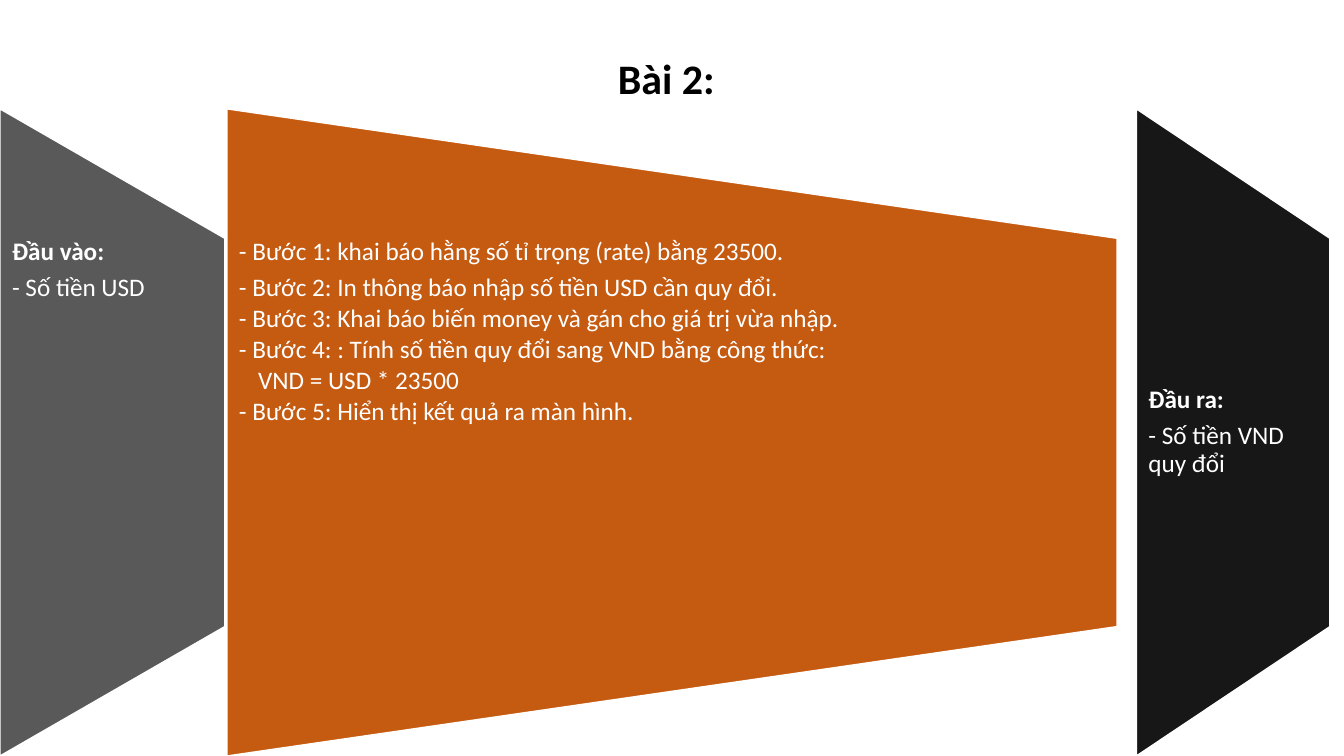
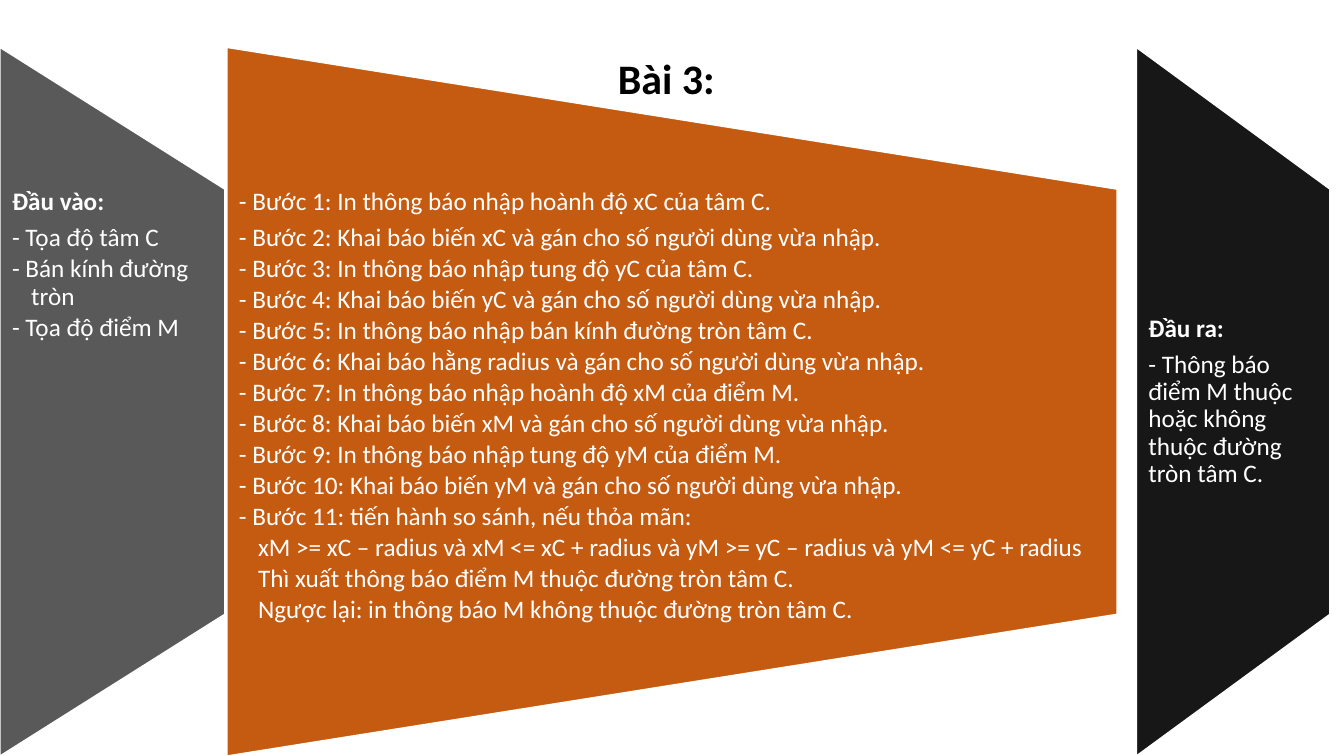
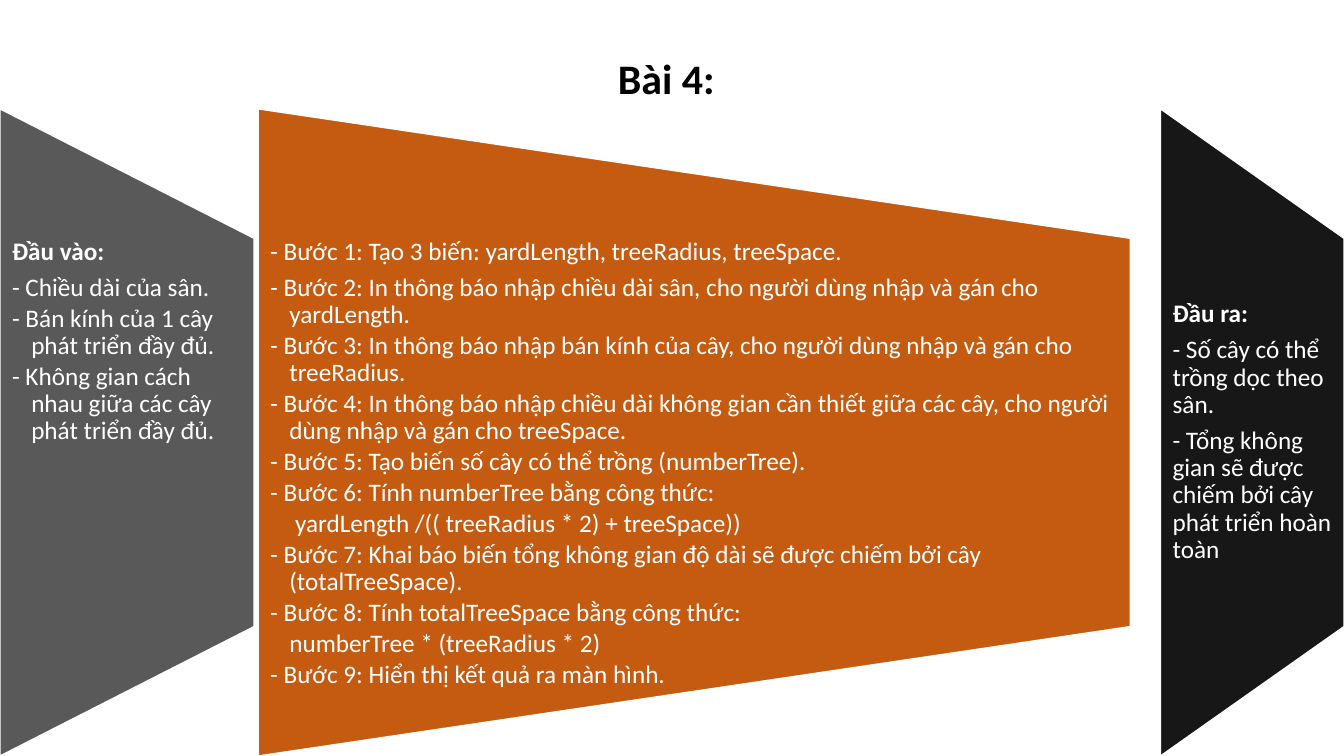
from dataclasses import dataclass

from pptx import Presentation
from pptx.dml.color import RGBColor
from pptx.enum.shapes import MSO_SHAPE as Preset
from pptx.enum.text import MSO_ANCHOR as Anchor, MSO_AUTO_SIZE as AutoSize
from pptx.util import Inches, Pt


@dataclass(frozen=True)
class Theme:
    font: str = "Calibri"
    title_size: int = 30
    body_size: int = 18
    title_color: str = "000000"
    body_color: str = "FFFFFF"
    edge_color: str = "FFFFFF"
    input_fill: str = "595959"
    steps_fill: str = "C55A11"
    output_fill: str = "181717"


@dataclass(frozen=True)
class LineStyle:
    level: int
    space_after: float
    bold: bool = False


HEADING = LineStyle(0, 6.3, bold=True)
LEAD = LineStyle(0, 6.3)
ITEM = LineStyle(1, 2.7)
DETAIL = LineStyle(2, 2.7)

SLIDE_WIDTH, SLIDE_HEIGHT = 13.33, 7.5
HANGING = 0.19
TEXT_INSET = 0.12
TEXT_SHARE = 0.6


class Deck:
    def __init__(self, theme):
        self.theme = theme
        self.presentation = Presentation()
        self.presentation.slide_width = Inches(SLIDE_WIDTH)
        self.presentation.slide_height = Inches(SLIDE_HEIGHT)
        self.slide = None

    def new_slide(self):
        blank = self.presentation.slide_layouts[6]
        self.slide = self.presentation.slides.add_slide(blank)

    def run(self, paragraph, text, size, color, bold):
        run = paragraph.add_run()
        run.text = text
        run.font.name = self.theme.font
        run.font.size = Pt(size)
        run.font.bold = bold
        run.font.color.rgb = RGBColor.from_string(color)

    def text_frame(self, left, top, width, height):
        box = self.slide.shapes.add_textbox(
            Inches(left), Inches(top), Inches(width), Inches(height))
        box.text_frame.word_wrap = True
        return box.text_frame

    def title(self, text):
        frame = self.text_frame(6.03, 0.47, 1.27, 0.61)
        frame.auto_size = AutoSize.SHAPE_TO_FIT_TEXT
        self.run(frame.paragraphs[0], text,
                 self.theme.title_size, self.theme.title_color, True)

    def funnel(self, left, top, width, fill):
        height = SLIDE_HEIGHT - top
        shift = (height - width) / 2
        funnel = self.slide.shapes.add_shape(
            Preset.FLOWCHART_MANUAL_OPERATION,
            Inches(left - shift), Inches(top + shift),
            Inches(height), Inches(width))
        funnel.rotation = 270
        funnel.shadow.inherit = False
        funnel.fill.solid()
        funnel.fill.fore_color.rgb = RGBColor.from_string(fill)
        funnel.line.color.rgb = RGBColor.from_string(self.theme.edge_color)
        funnel.line.width = Pt(1)

    def lines(self, left, top, width, content, anchor):
        height = SLIDE_HEIGHT - top
        margin = height * (1 - TEXT_SHARE) / 2
        frame = self.text_frame(left, top + margin, width, height * TEXT_SHARE)
        frame.margin_left = frame.margin_right = Inches(TEXT_INSET)
        frame.margin_top = frame.margin_bottom = 0
        frame.vertical_anchor = anchor
        for index, (style, text) in enumerate(content):
            paragraph = frame.add_paragraph() if index else frame.paragraphs[0]
            paragraph.level = style.level
            paragraph.line_spacing = 0.9
            paragraph.space_after = Pt(style.space_after)
            properties = paragraph._p.get_or_add_pPr()
            properties.set("marL", str(Inches(HANGING * style.level)))
            properties.set("indent", str(Inches(-HANGING if style.level else 0)))
            self.run(paragraph, text, self.theme.body_size,
                     self.theme.body_color, style.bold)

    def panel(self, left, top, width, fill, content, anchor=Anchor.TOP):
        self.funnel(left, top, width, fill)
        self.lines(left, top, width, content, anchor)

    def exercise(self, title, top, columns, inputs, steps, outputs):
        self.new_slide()
        input_column, steps_column, output_column = columns
        theme = self.theme

        def place(column, fill, content, anchor=Anchor.TOP):
            left, width = column
            self.panel(left, top, width, fill, content, anchor)

        place(input_column, theme.input_fill,
              [(HEADING, "Đầu vào:")] + [(ITEM, text) for text in inputs])
        place(steps_column, theme.steps_fill, steps)
        place(output_column, theme.output_fill,
              [(HEADING, "Đầu ra:")] + [(LEAD, text) for text in outputs],
              Anchor.MIDDLE)
        self.title(title)


NARROW_INPUT = [(0, 2.23), (2.25, 8.83), (11.27, 1.92)]
WIDE_INPUT = [(0, 2.52), (2.56, 8.65), (11.51, 1.82)]

deck = Deck(Theme())

deck.exercise(
    "Bài 2:", 1.08, NARROW_INPUT,
    inputs=["- Số tiền USD"],
    steps=[
        (LEAD, "- Bước 1: khai báo hằng số tỉ trọng (rate) bằng 23500."),
        (ITEM, "- Bước 2: In thông báo nhập số tiền USD cần quy đổi."),
        (ITEM, "- Bước 3: Khai báo biến money và gán cho giá trị vừa nhập."),
        (ITEM, "- Bước 4: : Tính số tiền quy đổi sang VND bằng công thức:"),
        (DETAIL, "VND = USD * 23500"),
        (ITEM, "- Bước 5: Hiển thị kết quả ra màn hình."),
    ],
    outputs=["- Số tiền VND quy đổi"])

deck.exercise(
    "Bài 3:", 0.47, NARROW_INPUT,
    inputs=["- Tọa độ tâm C", "- Bán kính đường tròn", "- Tọa độ điểm M"],
    steps=[
        (LEAD, "- Bước 1: In thông báo nhập hoành độ xC của tâm C."),
        (ITEM, "- Bước 2: Khai báo biến xC và gán cho số người dùng vừa nhập."),
        (ITEM, "- Bước 3: In thông báo nhập tung độ yC của tâm C."),
        (ITEM, "- Bước 4: Khai báo biến yC và gán cho số người dùng vừa nhập."),
        (ITEM, "- Bước 5: In thông báo nhập bán kính đường tròn tâm C."),
        (ITEM, "- Bước 6: Khai báo hằng radius và gán cho số người dùng vừa nhập."),
        (ITEM, "- Bước 7: In thông báo nhập hoành độ xM của điểm M."),
        (ITEM, "- Bước 8: Khai báo biến xM và gán cho số người dùng vừa nhập."),
        (ITEM, "- Bước 9: In thông báo nhập tung độ yM của điểm M."),
        (ITEM, "- Bước 10: Khai báo biến yM và gán cho số người dùng vừa nhập."),
        (ITEM, "- Bước 11: tiến hành so sánh, nếu thỏa mãn:"),
        (DETAIL, "xM >= xC – radius và xM <= xC + radius "
                 "và yM >= yC – radius và yM <= yC + radius"),
        (DETAIL, "Thì xuất thông báo điểm M thuộc đường tròn tâm C."),
        (DETAIL, "Ngược lại: in thông báo M không thuộc đường tròn tâm C."),
    ],
    outputs=["- Thông báo điểm M thuộc hoặc không thuộc đường tròn tâm C."])

deck.exercise(
    "Bài 4:", 1.08, WIDE_INPUT,
    inputs=[
        "- Chiều dài của sân.",
        "- Bán kính của 1 cây phát triển đầy đủ.",
        "- Không gian cách nhau giữa các cây phát triển đầy đủ.",
    ],
    steps=[
        (LEAD, "- Bước 1: Tạo 3 biến: yardLength, treeRadius, treeSpace."),
        (ITEM, "- Bước 2: In thông báo nhập chiều dài sân, "
               "cho người dùng nhập và gán cho yardLength."),
        (ITEM, "- Bước 3: In thông báo nhập bán kính của cây, "
               "cho người dùng nhập và gán cho treeRadius."),
        (ITEM, "- Bước 4: In thông báo nhập chiều dài không gian cần thiết "
               "giữa các cây, cho người dùng nhập và gán cho treeSpace."),
        (ITEM, "- Bước 5: Tạo biến số cây có thể trồng (numberTree)."),
        (ITEM, "- Bước 6: Tính numberTree bằng công thức:"),
        (DETAIL, " yardLength /(( treeRadius * 2) + treeSpace))"),
        (ITEM, "- Bước 7: Khai báo biến tổng không gian độ dài "
               "sẽ được chiếm bởi cây (totalTreeSpace)."),
        (ITEM, "- Bước 8: Tính totalTreeSpace bằng công thức:"),
        (DETAIL, "numberTree * (treeRadius * 2)"),
        (ITEM, "- Bước 9: Hiển thị kết quả ra màn hình."),
    ],
    outputs=[
        "- Số cây có thể trồng dọc theo sân.",
        "- Tổng không gian sẽ được chiếm bởi cây phát triển hoàn toàn",
    ])

deck.presentation.save("out.pptx")
